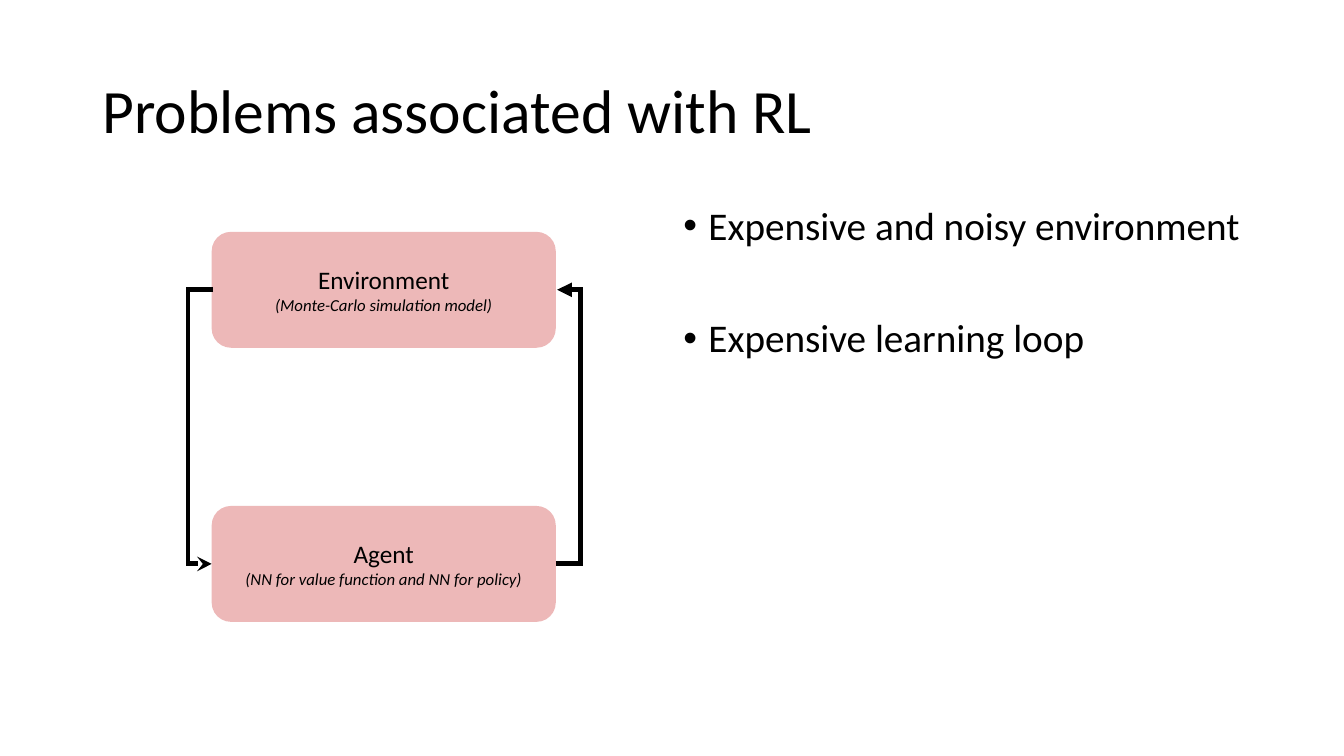
from lxml.etree import SubElement
from pptx import Presentation
from pptx.dml.color import RGBColor
from pptx.enum.shapes import MSO_CONNECTOR, MSO_SHAPE
from pptx.enum.text import MSO_ANCHOR, PP_ALIGN
from pptx.oxml.ns import qn
from pptx.util import Pt

BLACK = RGBColor(0, 0, 0)
RED = RGBColor(0xC0, 0, 0)
FONT = "Calibri"
BOX_LEFT, BOX_WIDTH, BOX_HEIGHT = 151.2, 245.8, 82.8
ENVIRONMENT_TOP, AGENT_TOP = 165.6, 361.4
LOOP_OFFSET = 18


def add_paragraph(tf, text, size, italic=False, align=None, spacing=None, before=None, bullet=False):
    p = tf.paragraphs[0] if not tf.text else tf.add_paragraph()
    if bullet:
        pPr = p._p.get_or_add_pPr()
        pPr.set("marL", str(Pt(18)))
        pPr.set("indent", str(Pt(-18)))
        SubElement(pPr, qn("a:buFont"), typeface="Arial")
        SubElement(pPr, qn("a:buChar"), char="•")
    p.alignment = align
    p.line_spacing = spacing
    if before is not None:
        p.space_before = Pt(before)
    r = p.add_run()
    r.text = text
    r.font.name = FONT
    r.font.size = Pt(size)
    r.font.italic = italic
    r.font.color.rgb = BLACK


def add_text_frame(s, left, top, width, height, anchor):
    box = s.shapes.add_textbox(Pt(left), Pt(top), Pt(width), Pt(height))
    tf = box.text_frame
    tf.word_wrap = True
    tf.vertical_anchor = anchor
    return tf


def add_box(s, top, name, detail):
    sp = s.shapes.add_shape(MSO_SHAPE.ROUNDED_RECTANGLE, Pt(BOX_LEFT), Pt(top), Pt(BOX_WIDTH), Pt(BOX_HEIGHT))
    sp.shadow.inherit = False
    sp.fill.solid()
    sp.fill.fore_color.rgb = RED
    color = sp.fill._xPr.find(qn("a:solidFill")).find(qn("a:srgbClr"))
    SubElement(color, qn("a:alpha"), val="28000")
    sp.line.fill.background()
    tf = sp.text_frame
    tf.word_wrap = True
    tf.vertical_anchor = MSO_ANCHOR.MIDDLE
    add_paragraph(tf, name, 18, align=PP_ALIGN.CENTER)
    add_paragraph(tf, detail, 12, italic=True, align=PP_ALIGN.CENTER)


def add_loop_arrow(s, x1, y1, x2, y2, head):
    c = s.shapes.add_connector(MSO_CONNECTOR.ELBOW, Pt(x1), Pt(y1), Pt(x2), Pt(y2))
    c.line.color.rgb = BLACK
    c.line.width = Pt(3.5)
    spPr = c._element.spPr
    guides = spPr.find(qn("a:prstGeom")).get_or_add_avLst()
    bend = round(LOOP_OFFSET / abs(x2 - x1) * 100000)
    SubElement(guides, qn("a:gd"), name="adj1", fmla=f"val {bend}")
    ln = c.line._get_or_add_ln()
    SubElement(ln, qn("a:miter"), lim="800000")
    SubElement(ln, qn("a:tailEnd"), type=head)
    SubElement(spPr, qn("a:effectLst"))


def main():
    prs = Presentation()
    prs.slide_width, prs.slide_height = Pt(960), Pt(540)
    s = prs.slides.add_slide(prs.slide_layouts[6])

    tf = add_text_frame(s, 66, 28.8, 828, 104.4, MSO_ANCHOR.MIDDLE)
    add_paragraph(tf, "Problems associated with RL", 44, spacing=0.9)

    add_box(s, ENVIRONMENT_TOP, "Environment", "(Monte-Carlo simulation model)")
    add_box(s, AGENT_TOP, "Agent", "(NN for value function and NN for policy)")

    right = BOX_LEFT + BOX_WIDTH
    environment_y = ENVIRONMENT_TOP + BOX_HEIGHT / 2
    agent_y = AGENT_TOP + BOX_HEIGHT / 2
    add_loop_arrow(s, BOX_LEFT + 1, environment_y, BOX_LEFT, agent_y, "stealth")
    add_loop_arrow(s, right, agent_y, right + 1, environment_y, "triangle")

    tf = add_text_frame(s, 481, 144, 413.3, 342.7, MSO_ANCHOR.TOP)
    add_paragraph(tf, "Expensive and noisy environment", 28, spacing=0.9, bullet=True)
    add_paragraph(tf, "Expensive learning loop", 28, spacing=0.9, before=50, bullet=True)

    prs.save("out.pptx")


if __name__ == "__main__":
    main()
